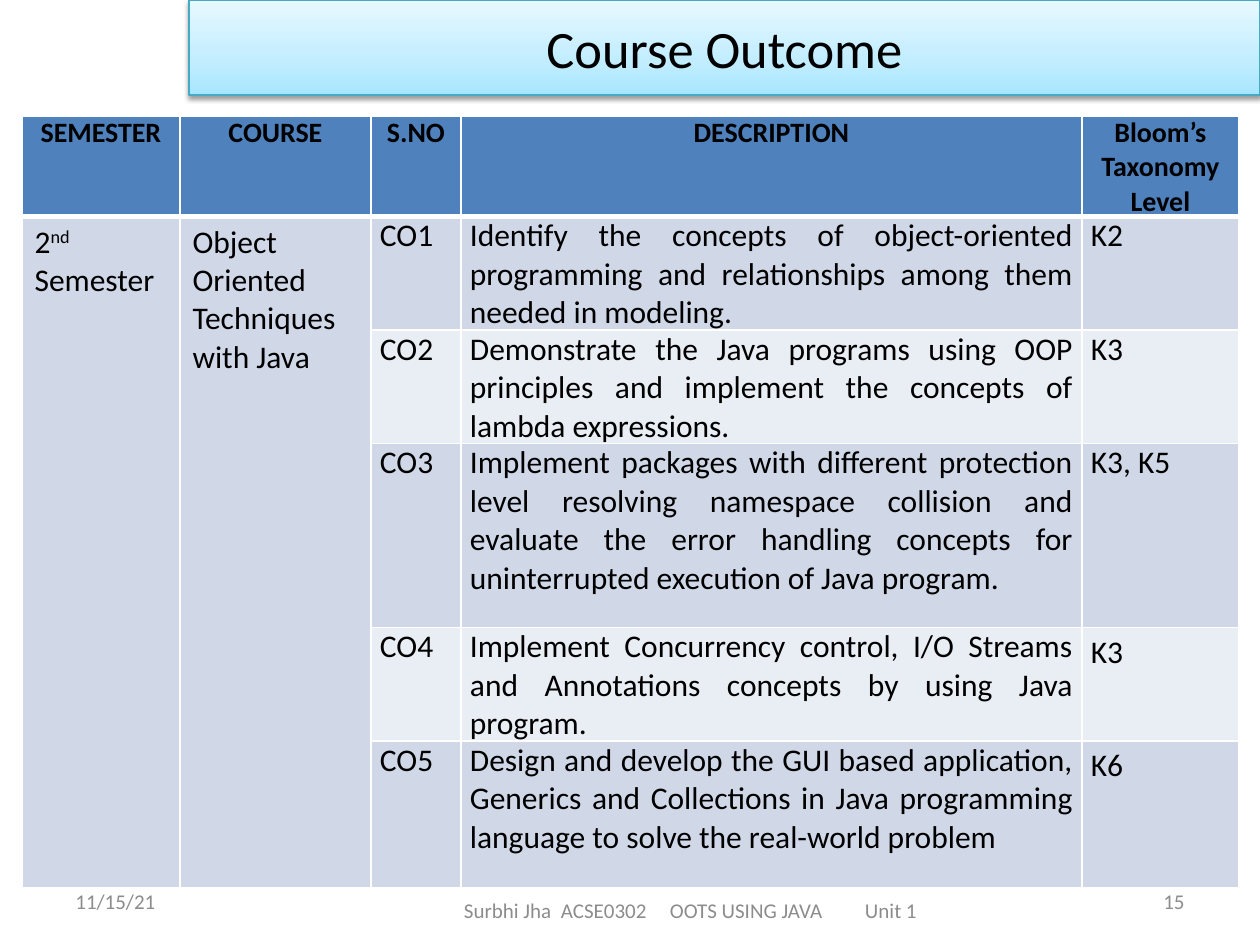
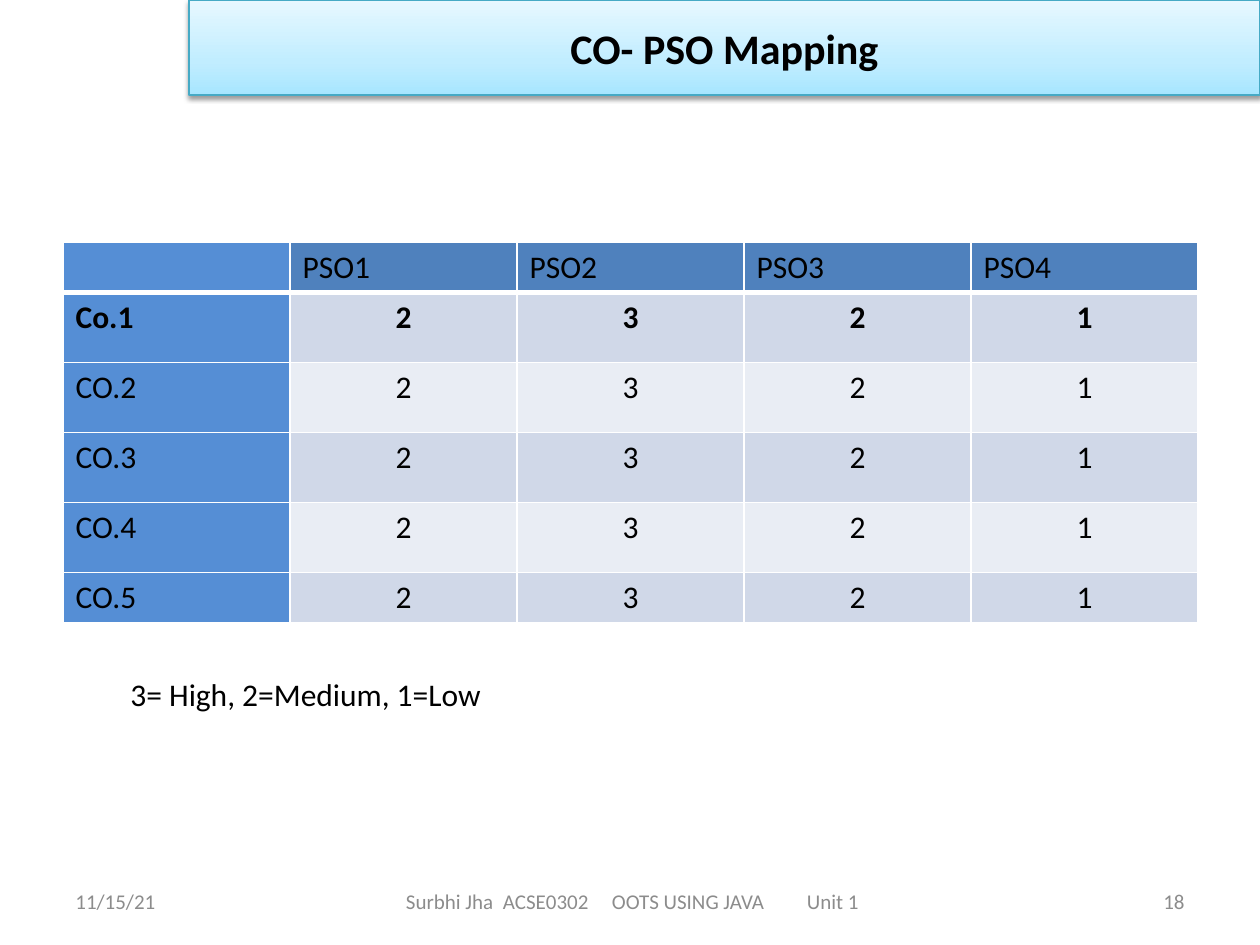
"""Build two course slides: outcomes and the outcome mapping."""
from dataclasses import dataclass

from lxml import etree
from pptx import Presentation
from pptx.dml.color import RGBColor
from pptx.enum.shapes import MSO_SHAPE
from pptx.enum.text import MSO_ANCHOR, PP_ALIGN
from pptx.oxml import parse_xml
from pptx.oxml.ns import nsdecls, qn
from pptx.util import Pt

LEFT, MID, RIGHT, JUST = PP_ALIGN.LEFT, PP_ALIGN.CENTER, PP_ALIGN.RIGHT, PP_ALIGN.JUSTIFY
TOP, CENTER = MSO_ANCHOR.TOP, MSO_ANCHOR.MIDDLE
RECT = MSO_SHAPE.RECTANGLE

SCALE = 914400 / 126
FONT = "Calibri"
BLACK, WHITE, GREY = "000000", "FFFFFF", "8C8C8C"
HEAD, SIDE, EDGE = "4F81BD", "558ED5", "46AAC5"
BANDS = ("D0D8E8", "E9EDF4")
GLOW = ((0, "A7E6FF"), (35, "C1EDFF"), (100, "E7F8FF"))
DATE = "11/15/21"
FOOTER = ("Surbhi Jha", "ACSE0302", "OOTS USING JAVA", "Unit 1")
STOPS = (97, 206, 401)


@dataclass(frozen=True)
class Run:
    """A piece of text in one style."""
    text: str
    size: int = 18
    bold: bool = False
    color: str = BLACK
    rise: int = 0


@dataclass(frozen=True)
class Box:
    """A place on the slide in px."""
    x: int
    y: int
    w: int
    h: int


@dataclass(frozen=True)
class Cell:
    """One table cell."""
    runs: tuple[Run, ...]
    fill: str
    align: PP_ALIGN = LEFT
    tight: bool = False
    space: float = 1.0
    span: int = 1


@dataclass(frozen=True)
class Grid:
    """A table with its place, sizes and cells."""
    x: int
    y: int
    cols: tuple[int, ...]
    rows: tuple[int, ...]
    cells: list[list[Cell | None]]


@dataclass(frozen=True)
class Page:
    """What differs from slide to slide."""
    title: Run
    num: str
    foot: Box
    inset: int
    grid: Grid
    note: str = ""


def px(num: float) -> int:
    """Turn px into EMU."""
    return round(num * SCALE)


def rgb(code: str) -> RGBColor:
    """Turn a hex string into a colour."""
    return RGBColor.from_string(code)


def place(box: Box) -> tuple[int, int, int, int]:
    """Give a box in EMU."""
    return px(box.x), px(box.y), px(box.w), px(box.h)


def write(par, runs: tuple[Run, ...], align: PP_ALIGN = LEFT) -> None:
    """Fill a paragraph run by run."""
    par.alignment = align
    for item in runs:
        run = par.add_run()
        run.text = item.text
        font = run.font
        font.name, font.size, font.bold = FONT, Pt(item.size), item.bold
        font.color.rgb = rgb(item.color)
        if item.rise:
            run._r.get_or_add_rPr().set("baseline", str(item.rise * 1000))


def add_text(slide, box: Box, run: Run, align: PP_ALIGN = LEFT, anchor: MSO_ANCHOR = CENTER):
    """Add a text box and return its frame."""
    frame = slide.shapes.add_textbox(*place(box)).text_frame
    frame.word_wrap = True
    frame.vertical_anchor = anchor
    write(frame.paragraphs[0], (run,), align)
    return frame


def add_foot(slide, box: Box, inset: int) -> None:
    """Add the footer with its parts on tab stops."""
    frame = add_text(slide, box, Run("\t".join(FOOTER), 12, color=GREY))
    frame.margin_left = px(inset)
    props = frame.paragraphs[0]._p.get_or_add_pPr()
    tabs = etree.SubElement(props, qn("a:tabLst"))
    for stop in STOPS:
        etree.SubElement(tabs, qn("a:tab"), pos=str(px(stop)), algn="l")


def add_title(slide, title: Run) -> None:
    """Add the shaded title band."""
    band = slide.shapes.add_shape(RECT, *place(Box(189, 0, 1071, 95)))
    band.line.color.rgb = rgb(EDGE)
    band.line.width = Pt(0.75)
    band.shadow.inherit = False
    props = band._element.spPr
    stops = "".join(f'<a:gs pos="{pos * 1000}"><a:srgbClr val="{code}"/></a:gs>' for pos, code in GLOW)
    props.find(qn("a:ln")).addprevious(parse_xml(
        f'<a:gradFill {nsdecls("a")} rotWithShape="1"><a:gsLst>{stops}</a:gsLst>'
        '<a:lin ang="16200000" scaled="0"/></a:gradFill>'))
    props.find(qn("a:effectLst")).append(parse_xml(
        f'<a:outerShdw {nsdecls("a")} blurRad="{Pt(3.1)}" dist="{Pt(1.6)}" dir="5400000" '
        f'rotWithShape="0"><a:srgbClr val="{BLACK}"><a:alpha val="38000"/></a:srgbClr></a:outerShdw>'))
    frame = band.text_frame
    frame.word_wrap = True
    frame.vertical_anchor = CENTER
    write(frame.paragraphs[0], (title,), MID)


def add_edges(cell, row: int) -> None:
    """Draw white borders, thick below the head row."""
    thick = {"lnB": 0, "lnT": 1}
    props = cell._tc.get_or_add_tcPr()
    for side in ("lnL", "lnR", "lnT", "lnB"):
        width = Pt(3 if thick.get(side) == row else 1)
        props.append(parse_xml(
            f'<a:{side} {nsdecls("a")} w="{width}"><a:solidFill>'
            f'<a:srgbClr val="{WHITE}"/></a:solidFill></a:{side}>'))


def add_grid(slide, grid: Grid) -> None:
    """Add a table."""
    box = Box(grid.x, grid.y, sum(grid.cols), sum(grid.rows))
    table = slide.shapes.add_table(len(grid.rows), len(grid.cols), *place(box)).table
    table.first_row = table.horz_banding = False
    for col, width in zip(table.columns, grid.cols):
        col.width = px(width)
    for row, height in zip(table.rows, grid.rows):
        row.height = px(height)
    for i, line in enumerate(grid.cells):
        for j, item in enumerate(line):
            cell = table.cell(i, j)
            add_edges(cell, i)
            if item is None:
                continue
            cell.fill.solid()
            cell.fill.fore_color.rgb = rgb(item.fill)
            if item.tight:
                cell.margin_left = cell.margin_right = px(9)
                cell.margin_top = cell.margin_bottom = 0
            par = cell.text_frame.paragraphs[0]
            if item.space != 1:
                par.line_spacing = item.space
            write(par, item.runs, item.align)
            if item.span > 1:
                cell.merge(table.cell(i + item.span - 1, j))


def make_goals() -> Grid:
    """Lay out the course outcomes."""
    heads = ("SEMESTER", "COURSE", "S.NO", "DESCRIPTION", "Bloom’s Taxonomy Level")
    goals = (
        ("Identify the concepts of object-oriented programming and relationships "
         "among them needed in modeling.", "K2", 1),
        ("Demonstrate the Java programs using OOP principles and implement the "
         "concepts of lambda expressions.", "K3", 1),
        ("Implement packages with different protection level resolving namespace collision and "
         "evaluate the error handling concepts for uninterrupted execution of Java program.",
         "K3, K5", 1),
        ("Implement Concurrency control, I/O Streams and Annotations concepts by "
         "using Java program.", "K3", 1.15),
        ("Design and develop the GUI based application, Generics and Collections in Java "
         "programming language to solve the real-world problem", "K6", 1.15),
    )
    term = (Run("2"), Run("nd ", rise=30), Run("Semester"))
    course = (Run("Object Oriented Techniques with Java"),)
    cells = [[Cell((Run(head, 16, True),), HEAD, MID, True) for head in heads]]
    for i, (goal, level, space) in enumerate(goals):
        fill = BANDS[i % 2]
        lead = [None, None] if i else [Cell(part, fill, span=len(goals)) for part in (term, course)]
        cells.append(lead + [
            Cell((Run(f"CO{i + 1}"),), fill, tight=True),
            Cell((Run(goal),), fill, JUST, True),
            Cell((Run(level),), fill, tight=True, space=space),
        ])
    return Grid(22, 116, (158, 191, 90, 621, 157), (98, 111, 111, 184, 111, 147), cells)


def make_map() -> Grid:
    """Lay out the outcome mapping."""
    marks = ("2", "3", "2", "1")
    cells = [[Cell((), SIDE)] + [Cell((Run(f"PSO{n + 1}"),), HEAD) for n in range(len(marks))]]
    for i, name in enumerate(("Co.1", "CO.2", "CO.3", "CO.4", "CO.5")):
        bold = i == 0
        cells.append([Cell((Run(name, bold=bold),), SIDE)]
                     + [Cell((Run(mark, bold=bold),), BANDS[i % 2], MID) for mark in marks])
    return Grid(63, 242, (227,) * 5, (49, 70, 70, 70, 70, 48), cells)


def add_page(deck, page: Page) -> None:
    """Add one slide."""
    slide = deck.slides.add_slide(deck.slide_layouts[6])
    add_text(slide, Box(63, 876, 294, 50), Run(DATE, 12, color=GREY))
    add_text(slide, Box(903, 876, 294, 50), Run(page.num, 12, color=GREY), RIGHT)
    add_title(slide, page.title)
    add_grid(slide, page.grid)
    if page.note:
        add_text(slide, Box(118, 669, 601, 50), Run(page.note), anchor=TOP)
    add_foot(slide, page.foot, page.inset)


def main() -> None:
    """Build and save the deck."""
    deck = Presentation()
    deck.slide_width, deck.slide_height = px(1260), px(945)
    pages = (
        Page(Run("Course Outcome", 30), "15", Box(347, 876, 693, 69), 117, make_goals()),
        Page(Run("CO- PSO Mapping", 24, True), "18", Box(347, 876, 577, 50), 59, make_map(),
             "3= High, 2=Medium, 1=Low"),
    )
    for page in pages:
        add_page(deck, page)
    deck.save("out.pptx")


if __name__ == "__main__":
    main()
